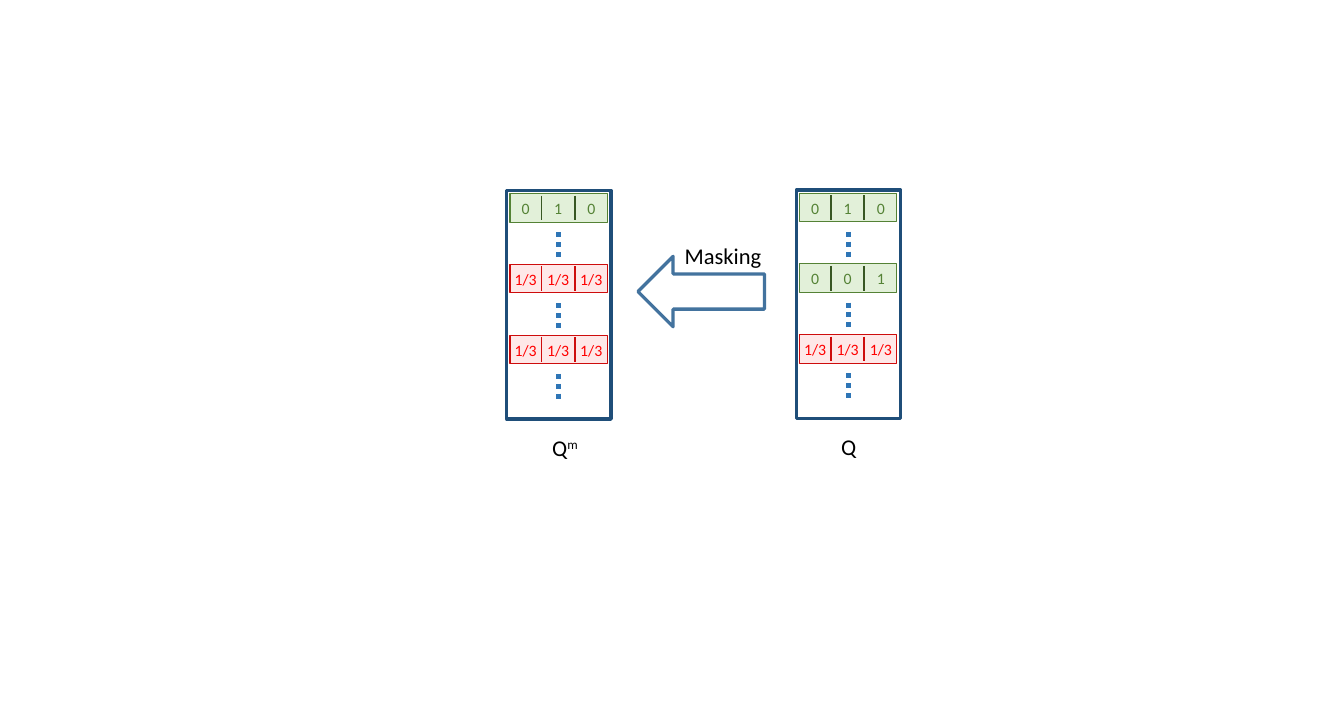
import pptx
import pptx.util
import pptx.dml.color
import pptx.enum.dml
import pptx.enum.shapes
import pptx.enum.text
import pptx.oxml.ns
import lxml.etree

Pt = pptx.util.Pt
SHAPE = pptx.enum.shapes.MSO_SHAPE

THEME = {
    "font": "Calibri", "cell": 14.4, "label": 20.5,
    "text": "000000", "frame": "1F4E79", "dots": "2E75B6", "arrow": "43739E",
    "known": {"fill": "E2F0D9", "edge": "548235", "split": "385723", "text": "548235"},
    "masked": {"fill": "FEE8E8", "edge": "CE0C0C", "split": "CE0C0C", "text": "FF0000"},
}

THIRDS = ("masked", ("1/3", "1/3", "1/3"))
STACKS = [
    {"left": 725.2, "top": 172.8, "name": "Q", "power": "", "mid": 47.7,
     "rows": [("known", ("0", "1", "0")), ("known", ("0", "0", "1")), THIRDS]},
    {"left": 461.5, "top": 173.3, "name": "Q", "power": "m", "mid": 53.1,
     "rows": [("known", ("0", "1", "0")), THIRDS, THIRDS]},
]
ARROW = (581, 233.3, 115.2, 64.1)
CAPTION = ("Masking", 658.4, 232.6)

FRAME = (95, 208.1)
ROW = (88.6, 25.9)
INSET = 3
PITCH = 64.4
SPLITS = (31.7, 61.9)
CELLS = (17.2, 46.8, 77)
DOTS = (47.3, 38.2, 22.7)
NAME = 233.6


def color(code):
    return pptx.dml.color.RGBColor.from_string(code)


def add_box(shapes, kind, area, edge, width, fill=None):
    box = shapes.add_shape(kind, *map(Pt, area))
    box.shadow.inherit = False
    if fill:
        box.fill.solid()
        box.fill.fore_color.rgb = color(fill)
    else:
        box.fill.background()
    box.line.color.rgb = color(edge)
    box.line.width = Pt(width)


def add_line(shapes, x, y, size, ink, width, dash=None):
    kind = pptx.enum.shapes.MSO_CONNECTOR.STRAIGHT
    line = shapes.add_connector(kind, Pt(x), Pt(y), Pt(x), Pt(y + size))
    line.line.color.rgb = color(ink)
    line.line.width = Pt(width)
    if dash:
        line.line.dash_style = dash
    lxml.etree.SubElement(line._element.spPr, pptx.oxml.ns.qn("a:effectLst"))


def add_text(shapes, words, x, y, size, ink, power=""):
    wide, high = size * (len(words + power) * 0.5 + 1), size * 1.7
    box = shapes.add_textbox(Pt(x - wide / 2), Pt(y - high / 2), Pt(wide), Pt(high))
    frame = box.text_frame
    frame.word_wrap = False
    frame.vertical_anchor = pptx.enum.text.MSO_ANCHOR.MIDDLE
    frame.text = words
    para = frame.paragraphs[0]
    para.alignment = pptx.enum.text.PP_ALIGN.CENTER
    if power:
        run = para.add_run()
        run.text = power
        run._r.get_or_add_rPr().set("baseline", "30000")
    for run in para.runs:
        run.font.name = THEME["font"]
        run.font.size = Pt(size)
        run.font.color.rgb = color(ink)


def add_row(shapes, left, top, state, values):
    look = THEME[state]
    group = shapes.add_group_shape().shapes
    add_box(group, SHAPE.RECTANGLE, (left + INSET, top, *ROW), look["edge"], 1, look["fill"])
    for x in SPLITS:
        add_line(group, left + x, top + 1.8, 22.5, look["split"], 1.5)
    for x, value in zip(CELLS, values):
        add_text(shapes, value, left + x, top + 13.3, THEME["cell"], look["text"])


def add_stack(shapes, stack):
    left, top = stack["left"], stack["top"]
    add_box(shapes, SHAPE.RECTANGLE, (left, top, *FRAME), THEME["frame"], 3)
    x, y, size = DOTS
    dash = pptx.enum.dml.MSO_LINE.ROUND_DOT
    for i, (state, values) in enumerate(stack["rows"]):
        step = top + i * PITCH
        add_row(shapes, left, step + INSET, state, values)
        add_line(shapes, left + x, step + y, size, THEME["dots"], 4.5, dash)
    add_text(shapes, stack["name"], left + stack["mid"], top + NAME,
             THEME["label"], THEME["text"], stack["power"])


def main():
    deck = pptx.Presentation()
    deck.slide_width, deck.slide_height = Pt(1224), Pt(648)
    shapes = deck.slides.add_slide(deck.slide_layouts[6]).shapes
    for stack in STACKS:
        add_stack(shapes, stack)
    add_box(shapes, SHAPE.LEFT_ARROW, ARROW, THEME["arrow"], 3)
    add_text(shapes, *CAPTION, THEME["label"], THEME["text"])
    deck.save("out.pptx")


if __name__ == "__main__":
    main()
